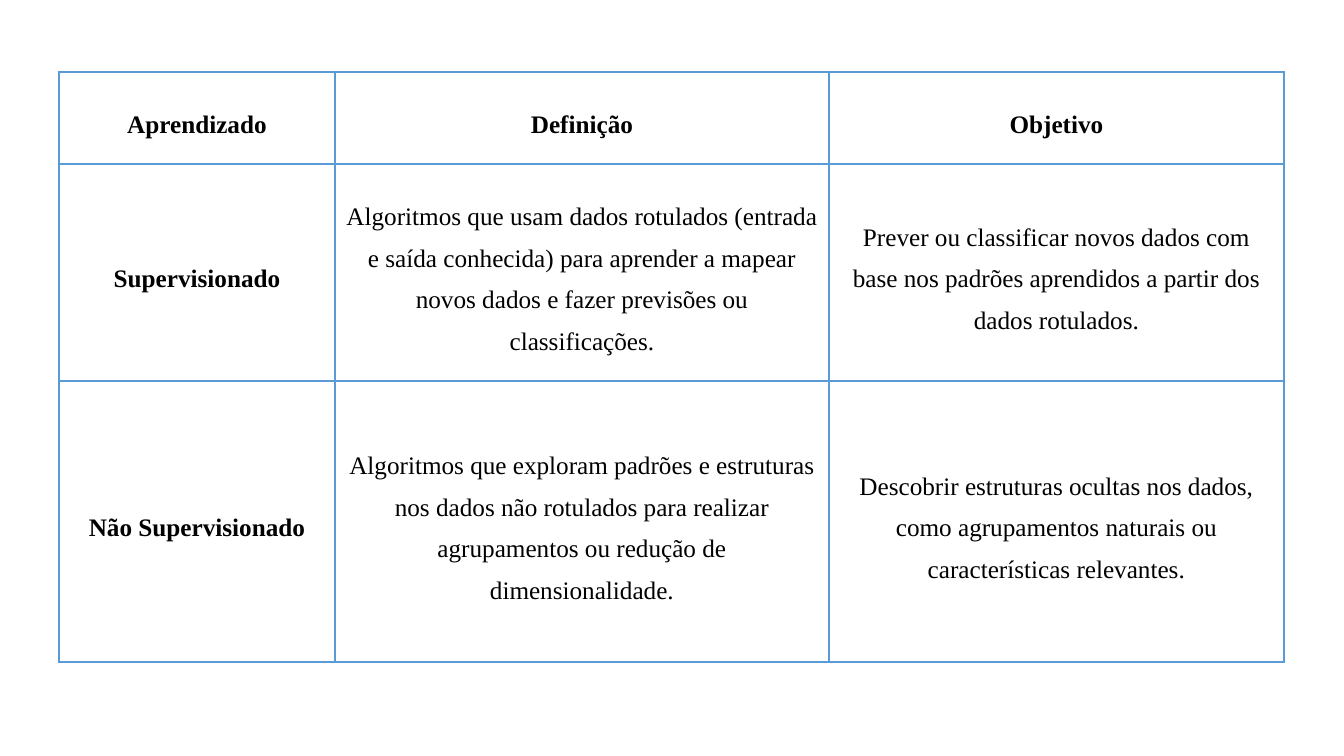
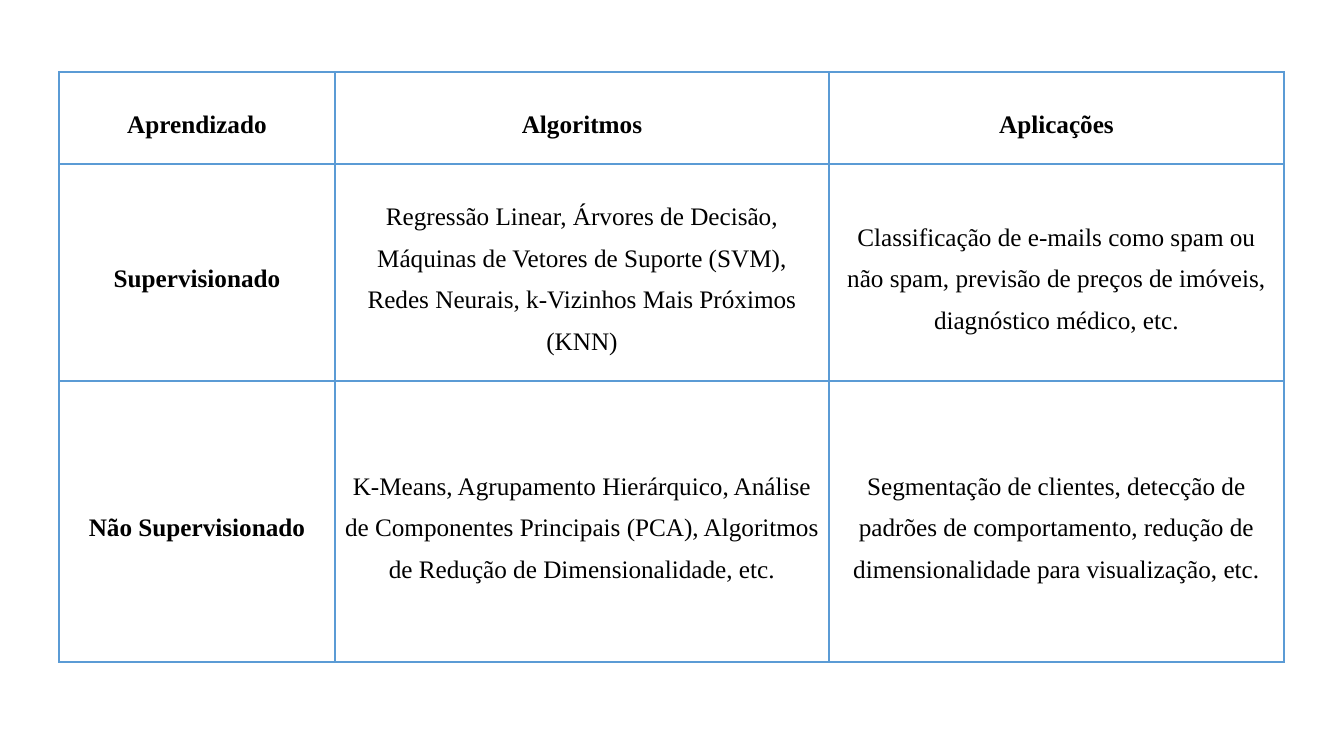
import pptx
import pptx.dml.color
import pptx.enum.text
import pptx.oxml
import pptx.oxml.ns
import pptx.util


def emu(px):
    return pptx.util.Emu(round(px * 914400 / 100.8))


def color(code):
    return pptx.dml.color.RGBColor.from_string(code)


def assign(target, values):
    for name, value in values.items():
        setattr(target, name, value)


class Deck:
    """Hold the shared table style and the current slide."""

    size = (1344, 756)
    ink = "000000"
    rule = "5B9BD5"
    font = {"name": "Times New Roman", "size": pptx.util.Pt(18)}
    para = {"alignment": pptx.enum.text.PP_ALIGN.CENTER, "line_spacing": 1.5}
    cell = {"vertical_anchor": pptx.enum.text.MSO_ANCHOR.MIDDLE}
    plain = {"first_row": False, "horz_banding": False}

    def __init__(self):
        self.file = pptx.Presentation()
        width, height = map(emu, self.size)
        assign(self.file, {"slide_width": width, "slide_height": height})

    def page(self):
        self.slide = self.file.slides.add_slide(self.file.slide_layouts[6])

    def border(self, cell):
        props = cell._tc.get_or_add_tcPr()
        for side in "LRTB":
            props.append(pptx.oxml.parse_xml(
                f'<a:ln{side} {pptx.oxml.ns.nsdecls("a")} w="{pptx.util.Pt(1)}">'
                f'<a:solidFill><a:srgbClr val="{self.rule}"/></a:solidFill>'
                f'</a:ln{side}>'))

    def label(self, cell, text, bold):
        cell.text = text
        assign(cell, self.cell)
        para = cell.text_frame.paragraphs[0]
        assign(para, self.para)
        font = para.runs[0].font
        assign(font, {**self.font, "bold": bold})
        font.color.rgb = color(self.ink)
        self.border(cell)
        cell.fill.background()

    def table(self, left, top, cols, rows, data):
        box = (left, top, sum(cols), sum(rows))
        table = self.slide.shapes.add_table(
            len(rows), len(cols), *map(emu, box)).table
        assign(table, self.plain)
        for col, width in zip(table.columns, cols):
            col.width = emu(width)
        for row, height in zip(table.rows, rows):
            row.height = emu(height)
        for r, line in enumerate(data):
            for c, text in enumerate(line):
                self.label(table.cell(r, c), text, r == 0 or c == 0)


KINDS = ["Aprendizado", "Supervisionado", "Não Supervisionado"]

PAGES = [
    [
        ("Definição", "Objetivo"),
        ("Algoritmos que usam dados rotulados (entrada e saída conhecida) "
         "para aprender a mapear novos dados e fazer previsões ou "
         "classificações.",
         "Prever ou classificar novos dados com base nos padrões aprendidos "
         "a partir dos dados rotulados."),
        ("Algoritmos que exploram padrões e estruturas nos dados não "
         "rotulados para realizar agrupamentos ou redução de "
         "dimensionalidade.",
         "Descobrir estruturas ocultas nos dados, como agrupamentos naturais "
         "ou características relevantes."),
    ],
    [
        ("Algoritmos", "Aplicações"),
        ("Regressão Linear, Árvores de Decisão, Máquinas de Vetores de "
         "Suporte (SVM), Redes Neurais, k-Vizinhos Mais Próximos (KNN)",
         "Classificação de e-mails como spam ou não spam, previsão de preços "
         "de imóveis, diagnóstico médico, etc."),
        ("K-Means, Agrupamento Hierárquico, Análise de Componentes "
         "Principais (PCA), Algoritmos de Redução de Dimensionalidade, etc.",
         "Segmentação de clientes, detecção de padrões de comportamento, "
         "redução de dimensionalidade para visualização, etc."),
    ],
]


def main():
    deck = Deck()
    for body in PAGES:
        deck.page()
        data = [(kind, *line) for kind, line in zip(KINDS, body)]
        deck.table(59, 72, (276, 494, 455), (92, 217, 281), data)
    deck.file.save("out.pptx")


if __name__ == "__main__":
    main()
